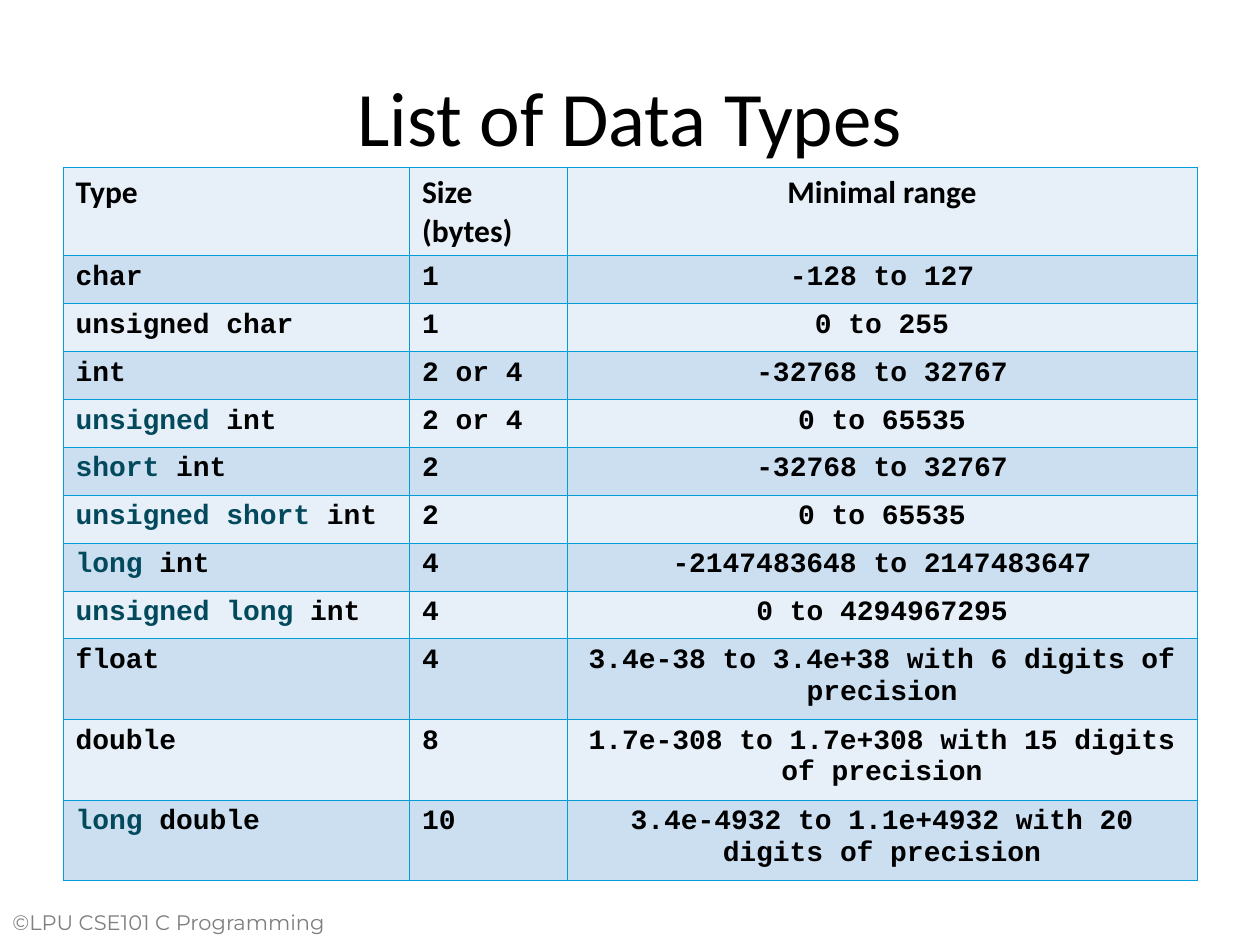
from dataclasses import dataclass

from lxml import etree
from pptx import Presentation
from pptx.dml.color import RGBColor
from pptx.enum import text
from pptx.oxml import ns
from pptx.util import Inches, Pt


@dataclass(frozen=True)
class Theme:
    ink: str = "000000"
    modifier: str = "03495C"
    muted: str = "7F7F7F"
    border: str = "009DD9"
    bands: tuple = ("E7F0F8", "CBDFF1")
    heading_font: str = "Calibri"
    code_font: str = "Courier New"
    footer_font: str = "Montserrat"
    title_size: int = 44
    header_size: int = 18
    code_size: int = 16
    footer_size: int = 12
    border_width: float = 0.45


LEFT, CENTER = text.PP_ALIGN.LEFT, text.PP_ALIGN.CENTER
COLUMN_WIDTHS = (2.75, 1.25, 5)
COLUMN_ALIGNMENTS = (LEFT, LEFT, CENTER)
HEADER_HEIGHT, ONE_LINE_HEIGHT, TWO_LINE_HEIGHT = 0.7, 0.38, 0.64
HEADERS = ("Type", "Size (bytes)", "Minimal range")

# Highlighted modifier, base type, size, range
DATA_TYPES = (
    ("", "char", "1", "-128 to 127"),
    ("", "unsigned char", "1", "0 to 255"),
    ("", "int", "2 or 4", "-32768 to 32767"),
    ("unsigned", " int", "2 or 4", "0 to 65535"),
    ("short", " int", "2", "-32768 to 32767"),
    ("unsigned short", " int", "2", "0 to 65535"),
    ("long", " int", "4", "-2147483648 to 2147483647"),
    ("unsigned long", " int", "4", "0 to 4294967295"),
    ("", "float", "4", "3.4e-38 to 3.4e+38 with 6 digits of precision"),
    ("", "double", "8", "1.7e-308 to 1.7e+308 with 15 digits of precision"),
    ("long", " double", "10",
     "3.4e-4932 to 1.1e+4932 with 20 digits of precision"),
)


class SlideBuilder:
    """Holds the theme and the current slide."""

    def __init__(self, slide, theme):
        self.slide = slide
        self.theme = theme

    def add_runs(self, paragraph, runs, align, **font_format):
        """Fill a paragraph with (words, colour) runs, skipping empty ones."""
        paragraph.alignment = align
        for words, colour in runs:
            if not words:
                continue
            run = paragraph.add_run()
            run.text = words
            run.font.color.rgb = RGBColor.from_string(colour)
            for name, value in font_format.items():
                setattr(run.font, name, value)

    def text_box(self, words, bounds, colour, align, anchor, **font_format):
        box = self.slide.shapes.add_textbox(*map(Inches, bounds))
        frame = box.text_frame
        frame.word_wrap = True
        frame.vertical_anchor = anchor
        self.add_runs(frame.paragraphs[0], [(words, colour)], align, **font_format)

    def border(self, cell):
        properties = cell._tc.get_or_add_tcPr()
        for side in ("a:lnL", "a:lnR", "a:lnT", "a:lnB"):
            line = etree.SubElement(properties, ns.qn(side),
                                    w=str(Pt(self.theme.border_width)))
            fill = etree.SubElement(line, ns.qn("a:solidFill"))
            etree.SubElement(fill, ns.qn("a:srgbClr"), val=self.theme.border)

    def table(self, left, top, rows, heights):
        """Draw rows of cells, each cell a list of runs; the first row is the header."""
        frame = self.slide.shapes.add_table(
            len(rows), len(COLUMN_WIDTHS), Inches(left), Inches(top),
            Inches(sum(COLUMN_WIDTHS)), Inches(sum(heights)))
        table = frame.table
        table.first_row = table.horz_banding = False
        for column, width in zip(table.columns, COLUMN_WIDTHS):
            column.width = Inches(width)
        theme = self.theme
        header_format = {"name": theme.heading_font, "size": Pt(theme.header_size)}
        code_format = {"name": theme.code_font, "size": Pt(theme.code_size)}
        for index, (row, height) in enumerate(zip(rows, heights)):
            table.rows[index].height = Inches(height)
            font_format = code_format if index else header_format
            for column, (runs, align) in enumerate(zip(row, COLUMN_ALIGNMENTS)):
                cell = table.cell(index, column)
                self.border(cell)
                cell.fill.solid()
                cell.fill.fore_color.rgb = RGBColor.from_string(theme.bands[index % 2])
                self.add_runs(cell.text_frame.paragraphs[0], runs, align,
                              bold=True, **font_format)


def main():
    presentation = Presentation()
    presentation.slide_width, presentation.slide_height = Inches(10), Inches(7.5)
    theme = Theme()
    slide = presentation.slides.add_slide(presentation.slide_layouts[6])
    builder = SlideBuilder(slide, theme)

    builder.text_box("©LPU CSE101 C Programming", (0, 7.17, 3, 0.42),
                     theme.muted, LEFT, text.MSO_ANCHOR.TOP,
                     name=theme.footer_font, size=Pt(theme.footer_size))
    builder.text_box("List of Data Types", (0.5, 0.33, 9, 1.17),
                     theme.ink, CENTER, text.MSO_ANCHOR.MIDDLE,
                     name=theme.heading_font, size=Pt(theme.title_size))

    rows = [[[(header, theme.ink)] for header in HEADERS]]
    heights = [HEADER_HEIGHT]
    for modifier, base, size, value_range in DATA_TYPES:
        rows.append([[(modifier, theme.modifier), (base, theme.ink)],
                     [(size, theme.ink)], [(value_range, theme.ink)]])
        wraps = "precision" in value_range
        heights.append(TWO_LINE_HEIGHT if wraps else ONE_LINE_HEIGHT)
    builder.table(0.5, 1.33, rows, heights)

    presentation.save("out.pptx")


if __name__ == "__main__":
    main()
